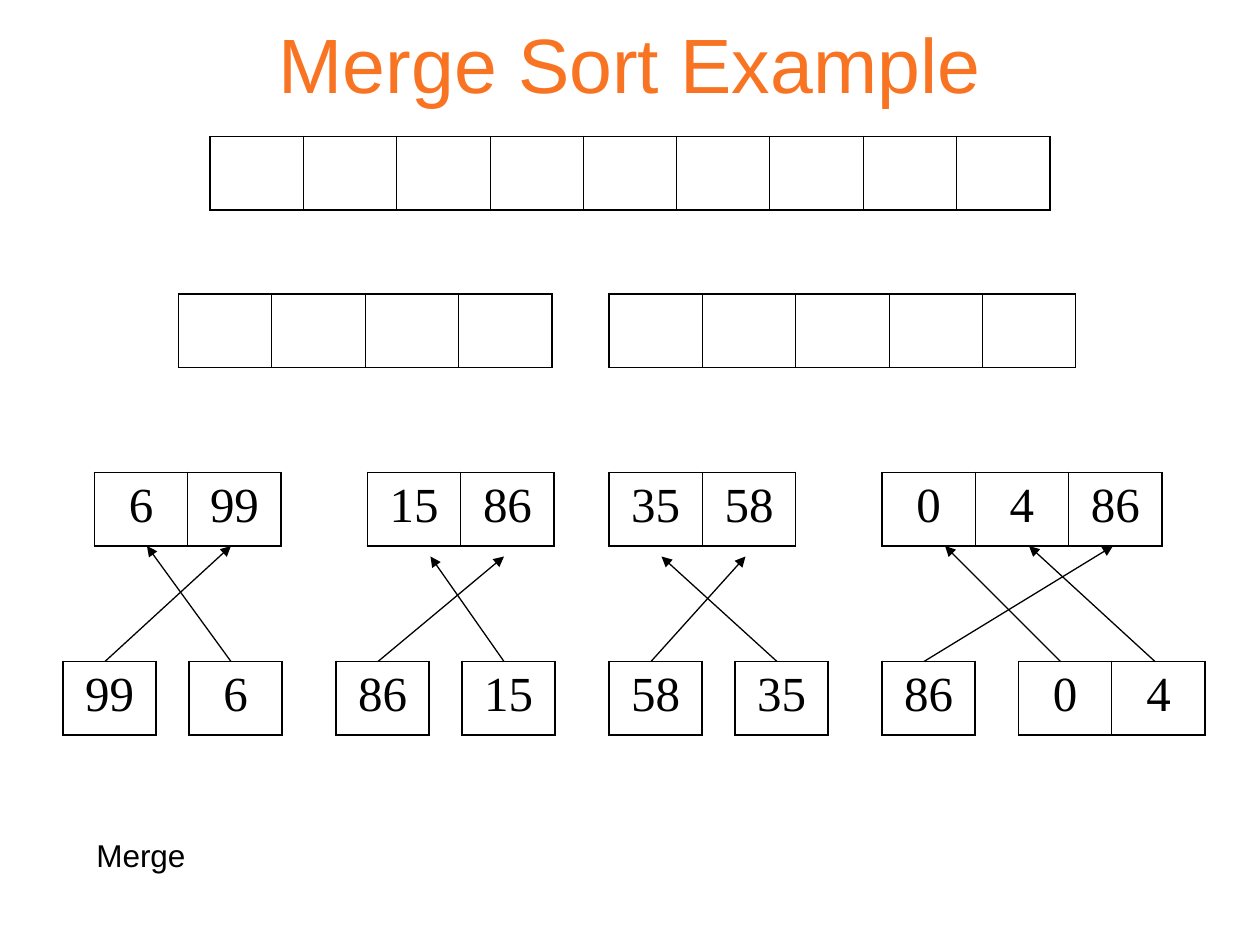
from dataclasses import dataclass

from lxml import etree
from pptx import Presentation
from pptx.dml.color import RGBColor
from pptx.enum.shapes import MSO_CONNECTOR
from pptx.enum.text import MSO_ANCHOR, PP_ALIGN
from pptx.oxml.ns import qn
from pptx.util import Pt

STRAIGHT = MSO_CONNECTOR.STRAIGHT
MIDDLE = MSO_ANCHOR.MIDDLE
CENTER, LEFT = PP_ALIGN.CENTER, PP_ALIGN.LEFT


@dataclass(frozen=True)
class Theme:
    title: str = "F87422"
    ink: str = "000000"
    sans: str = "Arial"
    serif: str = "Times New Roman"
    title_size: float = 44
    number_size: float = 28
    label_size: float = 18
    outer_line: float = 1.08
    inner_line: float = 0.45
    arrow_line: float = 0.75


theme = Theme()
CELL_WIDTH, CELL_HEIGHT = 53.33, 42
WHOLE_TOP, HALVES_TOP, MERGED_TOP, PARTS_TOP = 78, 168, 270, 378


def add_text(frame, text, font, size, color, align, before=0):
    para = frame.paragraphs[0]
    para.alignment = align
    para.space_before = Pt(before)
    span = para.add_run()
    span.text = text
    span.font.name = font
    span.font.size = Pt(size)
    span.font.color.rgb = RGBColor.from_string(color)


def add_border(cell, side, width):
    line = etree.SubElement(cell._tc.get_or_add_tcPr(), qn(f"a:ln{side}"), w=str(Pt(width)))
    fill = etree.SubElement(line, qn("a:solidFill"))
    etree.SubElement(fill, qn("a:srgbClr"), val=theme.ink)


deck = Presentation()
deck.slide_width, deck.slide_height = Pt(720), Pt(540)
page = deck.slides.add_slide(deck.slide_layouts[5])

# Title
title = page.shapes.title
title.left, title.top, title.width, title.height = Pt(54), Pt(0), Pt(612), Pt(72)
title.text_frame.vertical_anchor = MIDDLE
add_text(title.text_frame, "Merge Sort Example", theme.sans, theme.title_size, theme.title, CENTER)

# Arrays: left, top, values
arrays = [
    (120, WHOLE_TOP, [""] * 9),
    (102, HALVES_TOP, [""] * 4),
    (348, HALVES_TOP, [""] * 5),
    (210, MERGED_TOP, ["15", "86"]),
    (54, MERGED_TOP, ["6", "99"]),
    (348, MERGED_TOP, ["35", "58"]),
    (504, MERGED_TOP, ["0", "4", "86"]),
    (36, PARTS_TOP, ["99"]),
    (108, PARTS_TOP, ["6"]),
    (192, PARTS_TOP, ["86"]),
    (264, PARTS_TOP, ["15"]),
    (348, PARTS_TOP, ["58"]),
    (420, PARTS_TOP, ["35"]),
    (504, PARTS_TOP, ["86"]),
    (582, PARTS_TOP, ["0", "4"]),
]
for left, top, values in arrays:
    count = len(values)
    table = page.shapes.add_table(
        1, count, Pt(left), Pt(top), Pt(CELL_WIDTH * count), Pt(CELL_HEIGHT)
    ).table
    table.first_row = table.horz_banding = False
    for index, value in enumerate(values):
        table.columns[index].width = Pt(CELL_WIDTH)
        cell = table.cell(0, index)
        add_border(cell, "L", theme.outer_line if index == 0 else theme.inner_line)
        add_border(cell, "R", theme.outer_line if index == count - 1 else theme.inner_line)
        add_border(cell, "T", theme.outer_line)
        add_border(cell, "B", theme.outer_line)
        cell.fill.background()
        if value:
            add_text(cell.text_frame, value, theme.serif, theme.number_size, theme.ink, CENTER, 7)

# Step label
label = page.shapes.add_textbox(Pt(48), Pt(474), Pt(366), Pt(28.8))
label.text_frame.word_wrap = True
add_text(label.text_frame, "Merge", theme.sans, theme.label_size, theme.ink, LEFT, 11.2)

# Arrows from the parts up to the merged arrays: start x, end x, end y
arrows = [
    (660, 588, 312),
    (528, 636, 312),
    (606, 540, 312),
    (444, 378, 318),
    (372, 426, 318),
    (288, 246, 318),
    (216, 288, 318),
    (132, 84, 312),
    (60, 132, 312),
]
for start_x, end_x, end_y in arrows:
    arrow = page.shapes.add_connector(STRAIGHT, Pt(start_x), Pt(PARTS_TOP), Pt(end_x), Pt(end_y))
    arrow.line.width = Pt(theme.arrow_line)
    arrow.line.color.rgb = RGBColor.from_string(theme.ink)
    etree.SubElement(arrow.line._get_or_add_ln(), qn("a:tailEnd"), type="triangle")
    etree.SubElement(arrow._element.spPr, qn("a:effectLst"))

deck.save("out.pptx")
